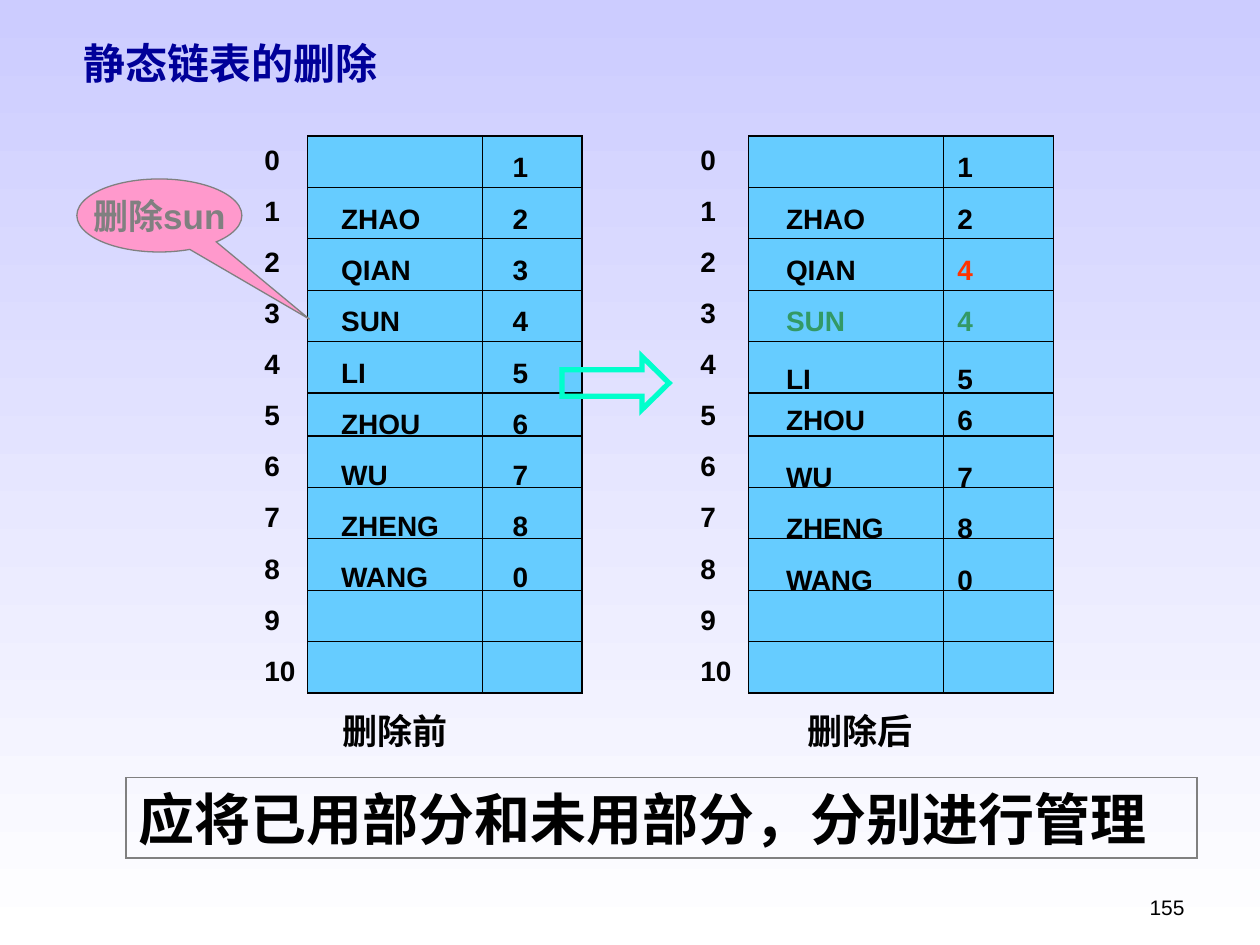
from itertools import accumulate

from lxml import etree
from pptx import Presentation
from pptx.dml.color import RGBColor
from pptx.enum.shapes import MSO_CONNECTOR, MSO_SHAPE
from pptx.enum.text import MSO_ANCHOR, PP_ALIGN
from pptx.oxml.ns import qn
from pptx.util import Inches, Pt

CALLOUT, ARROW, RECTANGLE = (
    MSO_SHAPE.OVAL_CALLOUT, MSO_SHAPE.RIGHT_ARROW, MSO_SHAPE.RECTANGLE)
STRAIGHT = MSO_CONNECTOR.STRAIGHT
TOP, MIDDLE, BOTTOM = MSO_ANCHOR.TOP, MSO_ANCHOR.MIDDLE, MSO_ANCHOR.BOTTOM
LEFT, CENTER, RIGHT = PP_ALIGN.LEFT, PP_ALIGN.CENTER, PP_ALIGN.RIGHT

THEME = {
    "sky": "CCCCFF", "white": "FFFFFF", "navy": "000099", "ink": "000000",
    "cell": "66CCFF", "pink": "FF99CC", "gray": "808080", "mint": "00FFCC",
    "changed": "FF3300", "removed": "339966",
    "small": 12, "body": 16, "label": 20, "title": 24, "banner": 32,
    "latin": "Arial", "serif": "Times New Roman", "chinese": "Noto Sans CJK SC",
}

LISTS = [
    {"caption": "删除后", "caption_at": (6.31, 5.58, 1.77, 0.44), "caption_inset": 0.1,
     "left": 5.94, "width": 2.42, "divider": 7.49, "index": (5.46, 0.68),
     "entries": (6.14, 2.03, 4.11),
     "rows": [[("", "1")], [("ZHAO", "2")], [("QIAN", "4")], [("SUN", "4")],
              [("LI", "5"), ("ZHOU", "6")], [("WU", "7")],
              [("ZHENG", "8")], [("WANG", "0")]],
     "colors": {2: ("ink", "changed"), 3: ("removed", "removed")}, "loose": (4, 5)},
    {"caption": "删除前", "caption_at": (2.31, 5.58, 1.77, 0.44), "caption_inset": 0.41,
     "left": 2.44, "width": 2.18, "divider": 3.83, "index": (2, 0.61),
     "entries": (2.61, 1.83, 3.68),
     "rows": [[("", "1")], [("ZHAO", "2")], [("QIAN", "3")], [("SUN", "4")],
              [("LI", "5")], [("ZHOU", "6")], [("WU", "7")],
              [("ZHENG", "8")], [("WANG", "0")]],
     "colors": {}, "loose": ()},
]

COLUMNS, ROWS = 10, 7.5
LIST_TOP, LIST_HEIGHT, LIST_ROWS = 1.08, 4.42, 11
SHORT_ROW, SHORT_HEIGHT = 5, 0.34
ROW_HEIGHT = (LIST_HEIGHT - SHORT_HEIGHT) / (LIST_ROWS - 1)
LINK_TAB, ROW_GAP, LOOSE, THIN, THICK = 1.36, 10, 1.2, 0.75, 3

deck = Presentation()
deck.slide_width, deck.slide_height = Inches(COLUMNS), Inches(ROWS)
page = deck.slides.add_slide(deck.slide_layouts[6])


def color(name):
    return RGBColor.from_string(THEME[name])


def place(area):
    return [Inches(length) for length in area]


def write(para, text, size="body", font="latin", ink="ink", bold=True):
    span = para.add_run()
    span.text = text
    style = {"size": Pt(THEME[size]), "name": THEME[font], "bold": bold}
    for key, value in style.items():
        setattr(span.font, key, value)
    span.font.color.rgb = color(ink)


def set_frame(box, anchor=MIDDLE, inset=0.1, wrap=True):
    layout = {"word_wrap": wrap, "vertical_anchor": anchor, "margin_left": Inches(inset)}
    for key, value in layout.items():
        setattr(box.text_frame, key, value)
    return box.text_frame


def next_para(frame, number):
    para = frame.add_paragraph() if number else frame.paragraphs[0]
    if number:
        para.space_before = Pt(ROW_GAP)
    return para


def fill_frame(box, lines, align=LEFT, anchor=MIDDLE, inset=0.1, wrap=True, **style):
    frame = set_frame(box, anchor, inset, wrap)
    for number, line in enumerate(lines):
        para = next_para(frame, number)
        para.alignment = align
        write(para, line, **style)


def add_text(area, lines, **format_values):
    fill_frame(page.shapes.add_textbox(*place(area)), lines, **format_values)


def add_figure(kind, area, line, width, fill=None, adjustments=()):
    shape = page.shapes.add_shape(kind, *place(area))
    shape.shadow.inherit = False
    if fill:
        shape.fill.solid()
        shape.fill.fore_color.rgb = color(fill)
    else:
        shape.fill.background()
    shape.line.color.rgb = color(line)
    shape.line.width = Pt(width)
    etree.SubElement(shape.line._get_or_add_ln(), qn("a:miter"), lim="800000")
    for number, value in enumerate(adjustments):
        shape.adjustments[number] = value
    return shape


def add_rule(*ends):
    rule = page.shapes.add_connector(STRAIGHT, *place(ends))
    rule.line.color.rgb = color("ink")
    rule.line.width = Pt(THIN)
    etree.SubElement(rule._element.spPr, qn("a:effectLst"))


def add_entries(data):
    left, width, height = data["entries"]
    frame = set_frame(page.shapes.add_textbox(*place((left, LIST_TOP, width, height))), TOP)
    for number, entries in enumerate(data["rows"]):
        para = next_para(frame, number)
        if number in data["loose"]:
            para.line_spacing = LOOSE
        tabs = etree.SubElement(para._p.get_or_add_pPr(), qn("a:tabLst"))
        etree.SubElement(tabs, qn("a:tab"), pos=str(Inches(LINK_TAB)), algn="l")
        name_ink, link_ink = data["colors"].get(number, ("ink", "ink"))
        for order, (name, link) in enumerate(entries):
            if order:
                para.add_line_break()
            write(para, name + "\t", ink=name_ink, size="body" if name else "label")
            write(para, link, ink=link_ink)


def add_list(data):
    left, right = data["left"], data["left"] + data["width"]
    add_figure(RECTANGLE, (left, LIST_TOP, data["width"], LIST_HEIGHT), "ink", THIN, "cell")
    heights = [SHORT_HEIGHT if row == SHORT_ROW else ROW_HEIGHT
               for row in range(LIST_ROWS - 1)]
    for offset in accumulate(heights):
        add_rule(left, LIST_TOP + offset, right, LIST_TOP + offset)
    add_rule(data["divider"], LIST_TOP, data["divider"], LIST_TOP + LIST_HEIGHT)
    index_left, index_width = data["index"]
    add_text((index_left, LIST_TOP, index_width, LIST_HEIGHT),
             [str(row) for row in range(LIST_ROWS)], anchor=TOP)
    add_entries(data)
    add_text(data["caption_at"], [data["caption"]], inset=data["caption_inset"],
             size="label", font="chinese")


background = page.background.fill
background.gradient()
background.gradient_angle = 270
for stop, name, position in zip(background.gradient_stops, ("sky", "white"), (0, 1)):
    stop.color.rgb = color(name)
    stop.position = position

add_text((7.17, 6.83, 2.33, 0.52), ["155"], anchor=BOTTOM, align=RIGHT,
         size="small", bold=False)
add_text((0.42, 0.25, 4.08, 0.42), ["静态链表的删除"], anchor=TOP, inset=0.24,
         size="title", font="serif", ink="navy")
for data in LISTS:
    add_list(data)

callout = add_figure(CALLOUT, (0.61, 1.42, 1.31, 0.58), "gray", THIN, "pink", (0.91, 1.42))
fill_frame(callout, ["删除sun"], align=CENTER, wrap=False, size="label", ink="gray")
add_figure(ARROW, (4.46, 2.83, 0.85, 0.42), "mint", THICK, adjustments=(0.5, 0.51))
banner = add_figure(RECTANGLE, (1, 6.17, 8.5, 0.64), "gray", THIN)
fill_frame(banner, ["应将已用部分和未用部分，分别进行管理"], size="banner", font="serif")

deck.save("out.pptx")
